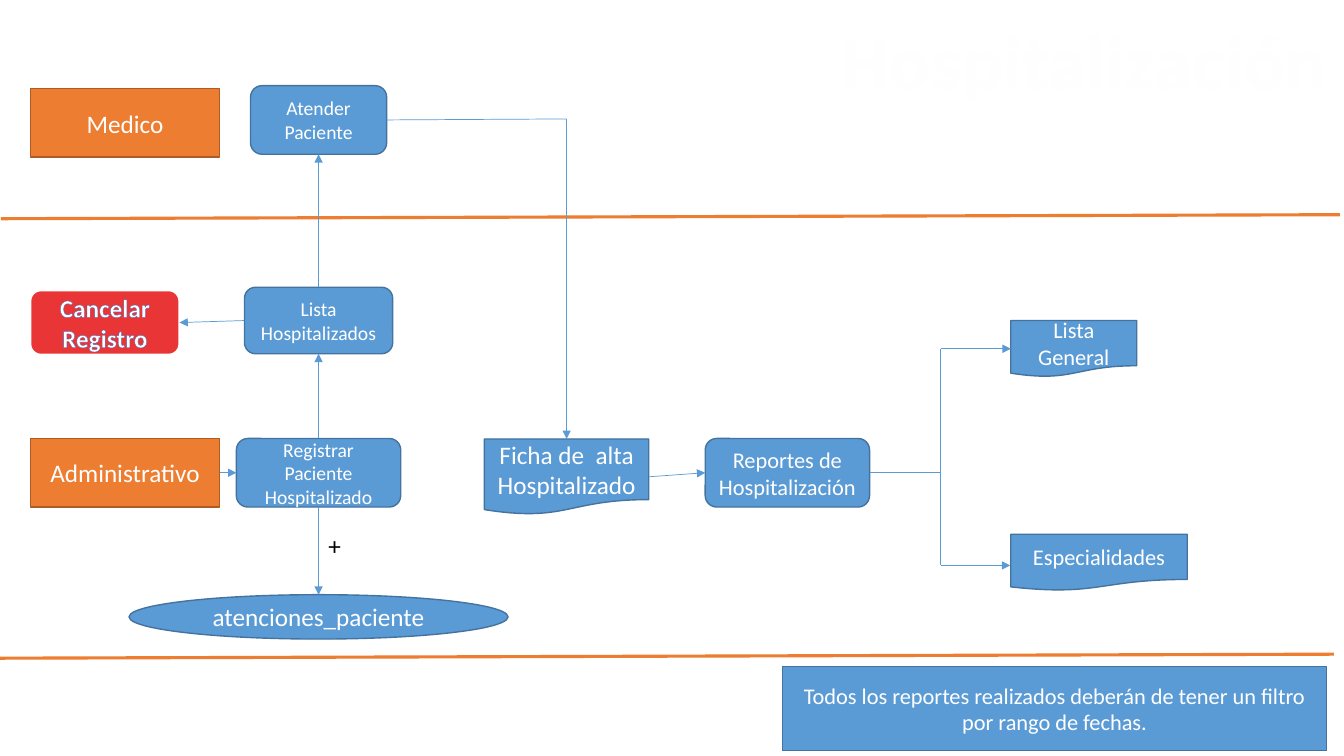
"""Builds the hospitalization process flow slide."""
from lxml import etree
from pptx import Presentation, util as u
from pptx.dml.color import RGBColor
from pptx.enum import shapes, text
from pptx.oxml import ns

COLORS = {"blue": "5B9BD5", "navy": "43739E", "orange": "ED7D31", "rust": "AF5C24",
          "red": "E93535", "white": "FFFFFF", "title": "FEFEFE", "black": "000000",
          "indigo": "4472C4"}
KINDS = {"box": shapes.MSO_SHAPE.RECTANGLE, "step": shapes.MSO_SHAPE.ROUNDED_RECTANGLE,
         "document": shapes.MSO_SHAPE.FLOWCHART_DOCUMENT, "table": shapes.MSO_SHAPE.OVAL}
THEMES = {"blue": ("blue", "navy", 1), "orange": ("orange", "rust", 1),
          "red": ("red", "white", 1.5)}
SIDES = ["top", "left", "bottom", "right"]

COLUMNS = {"cancel": 1.04, "role": 1.24, "flow": 3.16, "discharge": 5.62,
           "reports": 7.81, "branch": 9.33, "general": 10.65, "specialty": 10.9,
           "note": 10.46}
ROWS = {"doctor": 1.19, "role": 1.22, "list": 3.18, "cancel": 3.2, "general": 3.46,
        "admin": 4.69, "discharge": 4.73, "specialty": 5.58, "table": 6.12, "note": 7.03}

TITLE = "Hospitalización"
STEPS = [
    ("Administrativo", "box", "orange", "role", "admin", 1.88, 0.68, 18),
    ("Registrar Paciente Hospitalizado", "step", "blue", "flow", "admin", 1.63, 0.68, 14),
    ("Cancelar Registro", "step", "red", "cancel", "cancel", 1.48, 0.64, 18),
    ("Reportes de Hospitalización", "step", "blue", "reports", "admin", 1.63, 0.68, 16),
    ("Lista General", "document", "blue", "general", "general", 1.25, 0.56, 16),
    ("Especialidades", "document", "blue", "specialty", "specialty", 1.75, 0.56, 16),
    ("atenciones_paciente", "table", "blue", "flow", "table", 3.76, 0.44, 18),
    ("Todos los reportes realizados deberán de tener un filtro por rango de fechas.",
     "box", "blue", "note", "note", 5.4, 0.83, 16),
    ("Atender Paciente", "step", "blue", "flow", "doctor", 1.35, 0.68, 14),
    ("Lista Hospitalizados", "step", "blue", "flow", "list", 1.47, 0.66, 14),
    ("Medico", "box", "orange", "role", "role", 1.88, 0.68, 18),
    ("Ficha de  alta Hospitalizado", "document", "blue", "discharge", "discharge",
     1.63, 0.75, 18),
]
ARROWS = [
    (("Administrativo", "right"), ("Registrar Paciente Hospitalizado", "left")),
    (("Lista Hospitalizados", "left"), ("Cancelar Registro", "right")),
    (("Registrar Paciente Hospitalizado", "top"), ("Lista Hospitalizados", "bottom")),
    (("Lista Hospitalizados", "top"), ("Atender Paciente", "bottom")),
    (("Registrar Paciente Hospitalizado", "bottom"), ("atenciones_paciente", "top")),
    (("Ficha de  alta Hospitalizado", "right"), ("Reportes de Hospitalización", "left")),
    ((COLUMNS["discharge"], 1.18), ("Ficha de  alta Hospitalizado", "top")),
    ((COLUMNS["branch"], ROWS["general"]), ("Lista General", "left")),
    ((COLUMNS["branch"], 5.61), (10.02, 5.61)),
]
LINES = [
    (("Atender Paciente", "right"), (COLUMNS["discharge"], 1.18)),
    (("Reportes de Hospitalización", "right"), (COLUMNS["branch"], ROWS["admin"])),
    ((COLUMNS["branch"], ROWS["general"]), (COLUMNS["branch"], 5.61)),
]
LANES = [((-0.06, 6.53), (13.23, 6.49)), ((0.01, 2.17), (13.29, 2.13))]


def rgb(name):
    return RGBColor.from_string(COLORS[name])


def write(shape, words, size=18, color="white", bold=False, align="CENTER",
          anchor="MIDDLE", wrap=True, outline=None, outline_width=0.75):
    frame = shape.text_frame
    frame.word_wrap = wrap
    frame.vertical_anchor = text.MSO_ANCHOR[anchor]
    paragraph = frame.paragraphs[0]
    paragraph.alignment = text.PP_ALIGN[align]
    run = paragraph.add_run()
    run.text = words
    run.font.size, run.font.bold, run.font.name = u.Pt(size), bold, "Calibri"
    run.font.color.rgb = rgb(color)
    if outline:
        a = ns.nsdecls("a")
        properties = run.font.color and run._r.get_or_add_rPr()
        properties.insert(0, etree.fromstring(
            f'<a:ln {a} w="{u.Pt(outline_width)}"><a:solidFill>'
            f'<a:srgbClr val="{COLORS[outline]}"/></a:solidFill></a:ln>'))
        properties.insert(2, etree.fromstring(
            f'<a:effectLst {a}><a:outerShdw dist="38100" dir="2700000">'
            f'<a:srgbClr val="{COLORS[outline]}"/></a:outerShdw></a:effectLst>'))
    return run


def place(shape, left, top, width, height):
    shape.left, shape.top = u.Inches(left), u.Inches(top)
    shape.width, shape.height = u.Inches(width), u.Inches(height)


def connect(slide, steps, start, end, color="blue", width=0.5, arrow=False):
    line = slide.shapes.add_connector(shapes.MSO_CONNECTOR.STRAIGHT, 0, 0, 0, 0)
    if start[0] in steps:
        line.begin_connect(steps[start[0]], SIDES.index(start[1]))
    else:
        line.begin_x, line.begin_y = map(u.Inches, start)
    if end[0] in steps:
        line.end_connect(steps[end[0]], SIDES.index(end[1]))
    else:
        line.end_x, line.end_y = map(u.Inches, end)
    line.line.color.rgb, line.line.width = rgb(color), u.Pt(width)
    if arrow:
        etree.SubElement(line.line._get_or_add_ln(), ns.qn("a:tailEnd"), type="triangle")
    etree.SubElement(line._element.spPr, ns.qn("a:effectLst"))


def main():
    deck = Presentation()
    deck.slide_width, deck.slide_height = u.Inches(13.33), u.Inches(7.5)
    slide = deck.slides.add_slide(deck.slide_layouts.get_by_name("Title Only"))

    for start, end in LANES:
        connect(slide, {}, start, end, color="orange", width=2.25)

    steps = {}
    for words, kind, theme, column, row, width, height, size in STEPS:
        step = slide.shapes.add_shape(KINDS[kind], 0, 0, 0, 0)
        place(step, COLUMNS[column] - width / 2, ROWS[row] - height / 2, width, height)
        fill, border, border_width = THEMES[theme]
        step.shadow.inherit = False
        step.fill.solid()
        step.fill.fore_color.rgb = rgb(fill)
        step.line.color.rgb, step.line.width = rgb(border), u.Pt(border_width)
        cancel = theme == "red"
        write(step, words, size=size, bold=cancel, outline="indigo" if cancel else None)
        steps[words] = step

    for start, end in ARROWS:
        connect(slide, steps, start, end, arrow=True)
    for start, end in LINES:
        connect(slide, steps, start, end)

    plus = slide.shapes.add_textbox(0, 0, 0, 0)
    place(plus, COLUMNS["flow"], 5.21, 0.27, 0.4)
    write(plus, "+", color="black", align="LEFT", anchor="TOP")

    title = slide.shapes.title
    place(title, 8.22, 0.09, 5.07, 1.01)
    heading = write(title, TITLE, size=54, color="title", bold=True, anchor="TOP",
                    wrap=False, outline="blue")
    heading._r.get_or_add_rPr().set("spc", "50")
    title.text_frame.auto_size = text.MSO_AUTO_SIZE.SHAPE_TO_FIT_TEXT
    deck.save("out.pptx")


if __name__ == "__main__":
    main()
